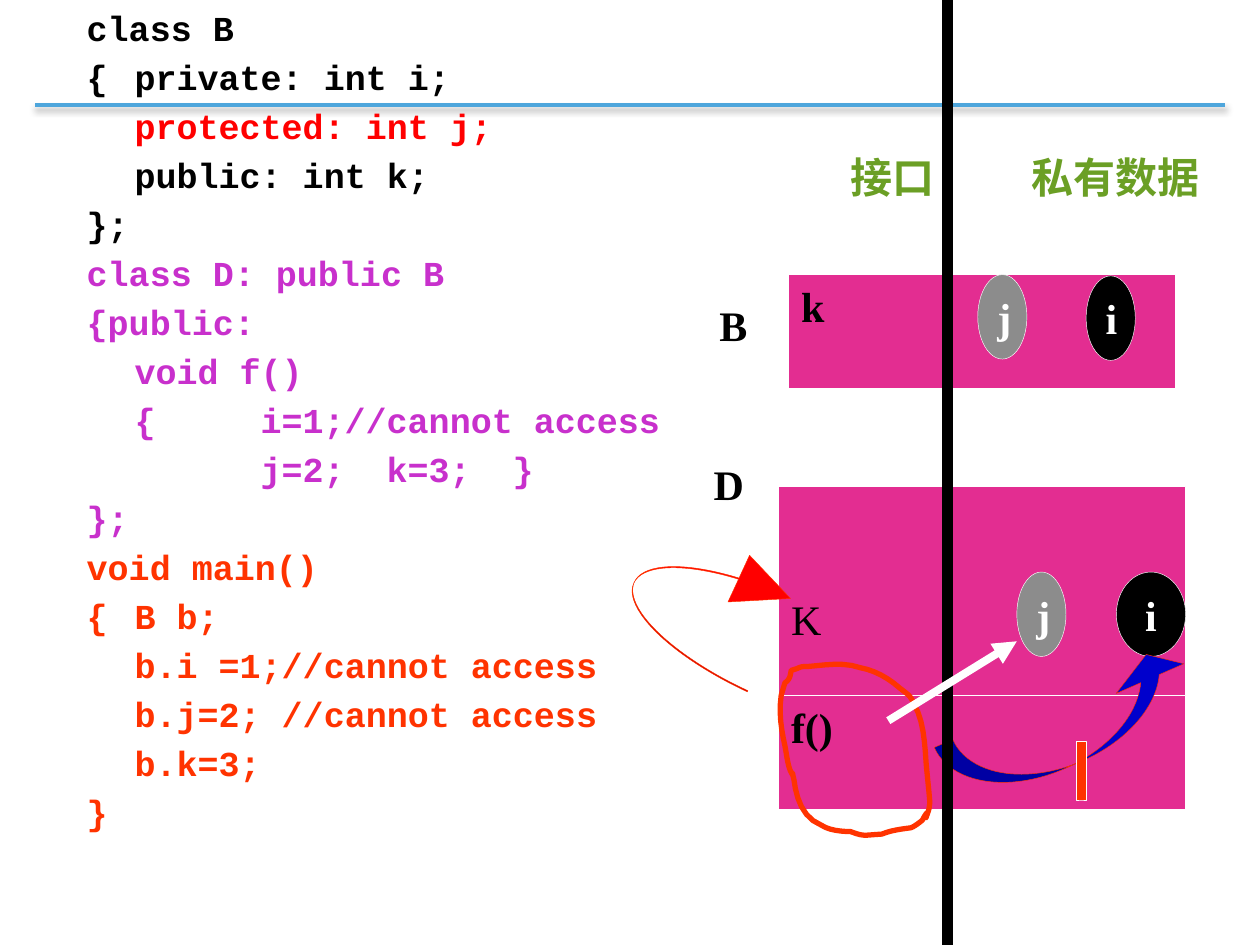
from dataclasses import dataclass

from lxml import etree
from pptx import Presentation
from pptx import util as u
from pptx.dml.color import RGBColor
from pptx.enum import shapes, text
from pptx.oxml.ns import qn

HUES = {
    "black": "000000", "white": "FFFFFF", "red": "FF0000", "orange": "FF3300",
    "violet": "C830CC", "pink": "E32D91", "grey": "8C8C8C", "navy": "0000CC",
    "green": "6B9F25", "sky": "4EA6DC",
}
KIND = shapes.MSO_SHAPE
SERIF = "Times New Roman"
MONO = "Courier New"
ROW = 0.4  # height of one 24 pt line


@dataclass
class Block:
    """A pink class box; lift moves its text up by half lines."""
    box: tuple
    words: str
    lift: int
    bold: bool = True


@dataclass
class Oval:
    box: tuple
    word: str
    fill: str


@dataclass
class Label:
    box: tuple
    words: str
    hue: str = "black"


@dataclass
class Arc:
    kind: KIND
    box: tuple
    turn: float
    bends: tuple
    fill: str


CODE = [
    ("black", ["class B", "{\tprivate: int i;"]),
    ("red", ["\tprotected: int j;"]),
    ("black", ["\tpublic: int k;", "};"]),
    ("violet", ["class D: public B", "{public:", "\tvoid f()",
                "\t{\ti=1;//cannot access", "\t\tj=2;\tk=3;\t}", "};"]),
    ("orange", ["void main()", "{\tB b;", "\tb.i =1;//cannot access",
                "\tb.j=2; //cannot access", "\tb.k=3;", "}"]),
]
# Start point, then two handles and an end point for each curve
LOOP = (7.35, 6.49), [
    (7.38, 6.4, 7.37, 6.44, 7.38, 6.37), (7.37, 6.24, 7.36, 6.17, 7.35, 6.05),
    (7.34, 5.9, 7.33, 5.71, 7.25, 5.58), (7.23, 5.52, 7.19, 5.5, 7.14, 5.46),
    (7.05, 5.38, 6.94, 5.32, 6.83, 5.3), (6.69, 5.25, 6.54, 5.28, 6.41, 5.29),
    (6.38, 5.29, 6.36, 5.29, 6.34, 5.3), (6.32, 5.31, 6.28, 5.32, 6.28, 5.32),
    (6.27, 5.37, 6.27, 5.39, 6.23, 5.42), (6.22, 5.45, 6.2, 5.52, 6.2, 5.52),
    (6.18, 5.66, 6.2, 5.79, 6.23, 5.92), (6.24, 5.97, 6.25, 6.06, 6.27, 6.11),
    (6.32, 6.22, 6.27, 6.07, 6.3, 6.18), (6.32, 6.34, 6.37, 6.49, 6.52, 6.55),
    (6.58, 6.59, 6.68, 6.6, 6.75, 6.6), (6.86, 6.64, 6.84, 6.63, 7, 6.62),
    (7.07, 6.59, 7.15, 6.58, 7.23, 6.57), (7.26, 6.56, 7.32, 6.51, 7.32, 6.51),
    (7.33, 6.49, 7.38, 6.4, 7.35, 6.49),
]


def tint(hue: str) -> RGBColor:
    return RGBColor.from_string(HUES[hue])


def place(box: tuple) -> list:
    return [u.Inches(n) for n in box]


def write(para, words: str, hue: str, size: int = 24, face: str = SERIF,
          bold: bool = True) -> None:
    run = para.add_run()
    run.text = words
    font = run.font
    font.size, font.name, font.bold = u.Pt(size), face, bold
    font.color.rgb = tint(hue)


def add_form(slide, kind: KIND, box: tuple, fill: str, edge: str = "white"):
    form = slide.shapes.add_shape(kind, *place(box))
    form.shadow.inherit = False
    form.fill.solid()
    form.fill.fore_color.rgb = tint(fill)
    form.line.color.rgb = tint(edge)
    form.line.width = u.Pt(0.25)
    return form


def add_block(slide, block: Block) -> None:
    frame = add_form(slide, KIND.RECTANGLE, block.box, "pink").text_frame
    frame.vertical_anchor = text.MSO_ANCHOR.MIDDLE
    frame.margin_top = u.Inches(0.05 + ROW * max(-block.lift, 0))
    frame.margin_bottom = u.Inches(0.05 + ROW * max(block.lift, 0))
    para = frame.paragraphs[0]
    para.alignment = text.PP_ALIGN.LEFT
    write(para, block.words, "black", bold=block.bold)


def add_oval(slide, oval: Oval) -> None:
    frame = add_form(slide, KIND.OVAL, oval.box, oval.fill).text_frame
    frame.vertical_anchor = text.MSO_ANCHOR.MIDDLE
    para = frame.paragraphs[0]
    para.alignment = text.PP_ALIGN.CENTER
    write(para, oval.word, "white")


def add_label(slide, label: Label) -> None:
    frame = slide.shapes.add_textbox(*place(label.box)).text_frame
    frame.word_wrap = True
    para = frame.paragraphs[0]
    para.alignment = text.PP_ALIGN.CENTER
    write(para, label.words, label.hue)


def add_arc(slide, arc: Arc) -> None:
    form = add_form(slide, arc.kind, arc.box, arc.fill, "orange")
    form.rotation = arc.turn
    for n, bend in enumerate(arc.bends):
        form.adjustments[n] = bend


def add_line(slide, ends: tuple, hue: str, width: float):
    """Add a line and return it with its empty effect list."""
    line = slide.shapes.add_connector(shapes.MSO_CONNECTOR.STRAIGHT, *place(ends))
    line.line.color.rgb = tint(hue)
    line.line.width = u.Pt(width)
    return line, etree.SubElement(line._element.spPr, qn("a:effectLst"))


def add_rule(slide) -> None:
    _, glow = add_line(slide, (0.28, 0.83, 9.72, 0.83), "sky", 2.25)
    shade = etree.SubElement(glow, qn("a:outerShdw"), blurRad=str(u.Pt(4)),
                             dist=str(u.Pt(2.5)), dir="5400000", rotWithShape="0")
    hue = etree.SubElement(shade, qn("a:srgbClr"), val=HUES["black"])
    etree.SubElement(hue, qn("a:alpha"), val="47000")


def add_code(slide) -> None:
    frame = slide.shapes.add_textbox(*place((0.59, 0, 8.17, 6.75))).text_frame
    frame.word_wrap = True
    rows = [(hue, row) for hue, part in CODE for row in part]
    for n, (hue, row) in enumerate(rows):
        para = frame.add_paragraph() if n else frame.paragraphs[0]
        para.space_before = u.Pt(4 if n else 0)
        props = para._p.get_or_add_pPr()
        props.set("marL", str(u.Inches(0.38)))
        props.set("indent", str(u.Inches(-0.38)))
        props.set("defTabSz", str(u.Inches(1)))
        write(para, row, hue, 20, MONO)


def add_loop(slide, steps: int = 6) -> None:
    """Trace the Bezier curves of the loop with short straight steps."""
    start, curves = LOOP
    dots, last = [], start
    for ax, ay, bx, by, cx, cy in curves:
        knots = last, (ax, ay), (bx, by), (cx, cy)
        for n in range(1, steps + 1):
            t = n / steps
            parts = (1 - t) ** 3, 3 * t * (1 - t) ** 2, 3 * t * t * (1 - t), t ** 3
            dots.append([u.Inches(sum(w * k[i] for w, k in zip(parts, knots)))
                         for i in (0, 1)])
        last = cx, cy
    pen = slide.shapes.build_freeform(*place(start))
    pen.add_line_segments(dots, close=True)
    loop = pen.convert_to_shape()
    loop.shadow.inherit = False
    loop.fill.background()
    loop.line.color.rgb = tint("orange")
    loop.line.width = u.Pt(3)


def main() -> None:
    deck = Presentation()
    deck.slide_width, deck.slide_height = u.Inches(10), u.Inches(7.5)
    slide = deck.slides.add_slide(deck.slide_layouts[6])
    add_rule(slide)
    add_code(slide)
    add_block(slide, Block((6.18, 3.86, 3.23, 1.7), "K", -1, False))
    add_block(slide, Block((6.26, 2.18, 3.07, 0.9), "k", 1))
    add_oval(slide, Oval((8.62, 2.19, 0.39, 0.67), "i", "black"))
    add_oval(slide, Oval((8.86, 4.54, 0.55, 0.67), "i", "black"))
    add_block(slide, Block((6.18, 5.52, 3.23, 0.9), "f()", 1))
    add_label(slide, Label((6.26, 1.15, 1.65, 0.5), "接口", "green"))
    add_label(slide, Label((8.03, 1.15, 1.65, 0.5), "私有数据", "green"))
    add_loop(slide)
    add_arc(slide, Arc(KIND.CURVED_RIGHT_ARROW, (8.22, 4.7, 0.57, 2.13), 246.3,
                       (0.28, 1.03, 0.33), "navy"))
    add_form(slide, KIND.RECTANGLE, (8.54, 5.88, 0.08, 0.47), "orange")
    add_arc(slide, Arc(KIND.CURVED_LEFT_ARROW, (5.02, 4.27, 1.18, 1.02), 204.8,
                       (0.01, 0.4, 0.43), "red"))
    add_label(slide, Label((5.39, 2.33, 0.86, 0.5), "B"))
    add_label(slide, Label((5.08, 3.59, 1.41, 0.5), "D"))
    add_line(slide, (7.52, 0, 7.52, 7.5), "black", 6)
    add_oval(slide, Oval((7.76, 2.18, 0.39, 0.67), "j", "grey"))
    add_oval(slide, Oval((8.07, 4.54, 0.39, 0.67), "j", "grey"))
    arrow, _ = add_line(slide, (7.05, 5.72, 8.07, 5.09), "white", 4.5)
    etree.SubElement(arrow.line._get_or_add_ln(), qn("a:tailEnd"), type="triangle")
    deck.save("out.pptx")


if __name__ == "__main__":
    main()
